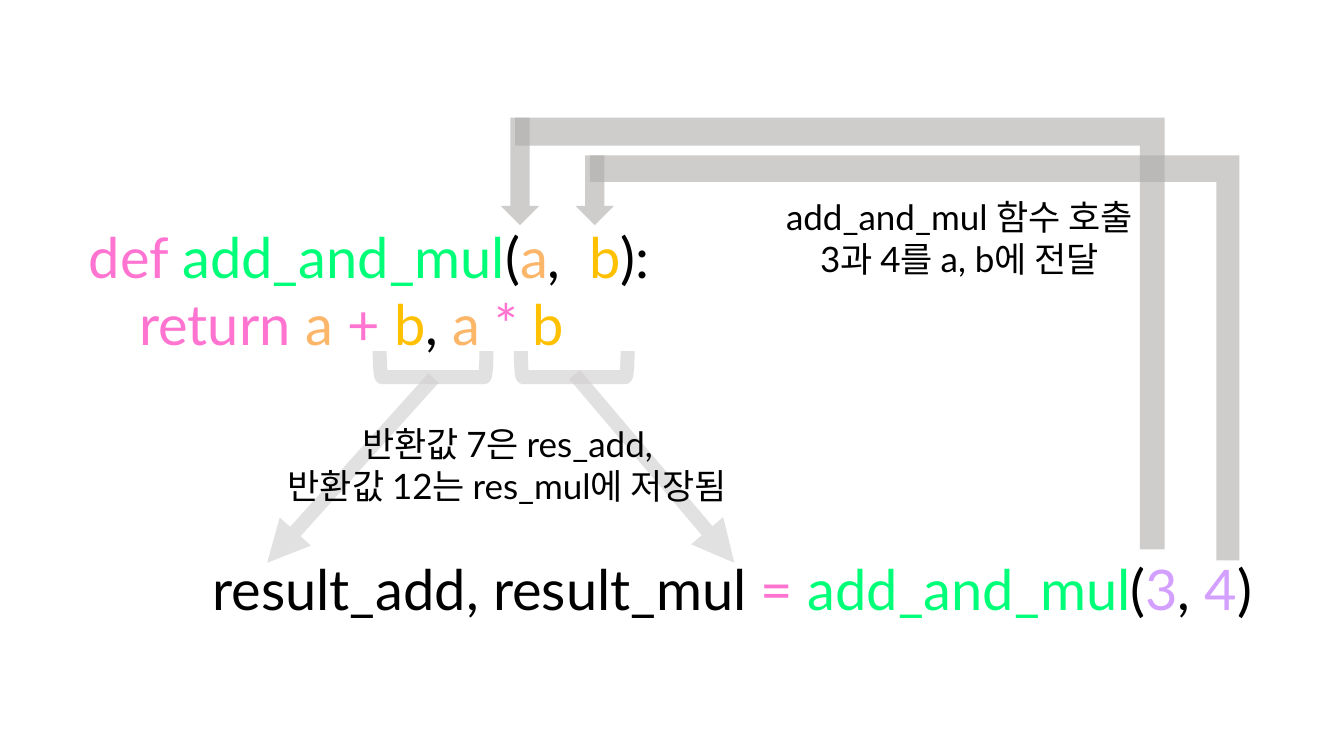
from dataclasses import dataclass

from lxml import etree
from pptx import Presentation
from pptx.dml.color import RGBColor
from pptx.enum import shapes, text
from pptx.oxml import ns
from pptx.util import Inches, Pt

BLACK = RGBColor(0x00, 0x00, 0x00)
PINK = RGBColor(0xFF, 0x74, 0xD0)
GREEN = RGBColor(0x00, 0xFF, 0x78)
ORANGE = RGBColor(0xFC, 0xB6, 0x6A)
AMBER = RGBColor(0xFF, 0xC0, 0x00)
VIOLET = RGBColor(0xD4, 0xA0, 0xFF)
LIGHT_GRAY = RGBColor(0xD0, 0xCE, 0xCE)
GRAY = RGBColor(0xAF, 0xAB, 0xAB)

FONT = "Lato"
CODE_SIZE, NOTE_SIZE = Pt(40), Pt(25)
STROKE = Pt(10)
OPACITY = 60
CELL = Inches(7.5) / 90  # the slide is 160 columns by 90 rows


@dataclass
class Box:
    """A rectangle measured in grid columns and rows."""
    left: float
    top: float
    width: float
    height: float

    def inner(self, column, row, width, height):
        """Return a box placed from this box's top left corner."""
        return Box(self.left + column, self.top + row, width, height)

    def emu(self):
        """Return left, top, width and height as lengths."""
        return [round(value * CELL)
                for value in (self.left, self.top, self.width, self.height)]


def make_translucent(shape):
    """Give every explicit colour of a shape the shared opacity."""
    for color in shape._element.iter(ns.qn("a:srgbClr")):
        etree.SubElement(color, ns.qn("a:alpha"), val=str(OPACITY * 1000))


def add_text(page, box, lines, size, alignment):
    """Write lines, each a list of (words, colour) spans."""
    frame = page.shapes.add_textbox(*box.emu()).text_frame
    frame.word_wrap = True
    frame.auto_size = text.MSO_AUTO_SIZE.SHAPE_TO_FIT_TEXT
    for index, spans in enumerate(lines):
        para = frame.add_paragraph() if index else frame.paragraphs[0]
        para.alignment = alignment
        para.font.name, para.font.size = FONT, size
        for words, color in spans:
            span = para.add_run()
            span.text = words
            span.font.color.rgb = color


def add_code(page, box, lines):
    """Write coloured code lines."""
    add_text(page, box, lines, CODE_SIZE, text.PP_ALIGN.LEFT)


def add_note(page, box, lines):
    """Write a centred black explanation."""
    add_text(page, box, [[(line, BLACK)] for line in lines],
             NOTE_SIZE, text.PP_ALIGN.CENTER)


def add_band(page, kind, box):
    """Add a translucent gray shape without outline."""
    band = page.shapes.add_shape(kind, *box.emu())
    band.shadow.inherit = False
    band.fill.solid()
    band.fill.fore_color.rgb = GRAY
    band.line.fill.background()
    make_translucent(band)
    return band


def add_bracket(page, box):
    """Add a bracket that opens upwards and fills the box."""
    turned = Box(box.left + (box.width - box.height) / 2,
                 box.top - (box.width - box.height) / 2,
                 box.height, box.width)
    bracket = page.shapes.add_shape(shapes.MSO_SHAPE.LEFT_BRACKET, *turned.emu())
    bracket.rotation = 270
    bracket.shadow.inherit = False
    bracket.fill.background()
    bracket.line.color.rgb = LIGHT_GRAY
    bracket.line.width = STROKE
    make_translucent(bracket)


def add_arrow(page, box, start, end):
    """Draw a thick arrow between two points given from the box corner."""
    points = [round(value * CELL) for column, row in (start, end)
              for value in (box.left + column, box.top + row)]
    arrow = page.shapes.add_connector(shapes.MSO_CONNECTOR.STRAIGHT, *points)
    arrow.line.color.rgb = LIGHT_GRAY
    arrow.line.width = STROKE
    make_translucent(arrow)
    outline = arrow._element.spPr.find(ns.qn("a:ln"))
    etree.SubElement(outline, ns.qn("a:tailEnd"), type="triangle")
    etree.SubElement(arrow._element.spPr, ns.qn("a:effectLst"))


def add_call(page, box):
    """Write the line that calls the function."""
    add_code(page, box, [[
        ("result_add, result_mul ", BLACK), ("= ", PINK), ("add_and_mul", GREEN),
        ("(", BLACK), ("3", VIOLET), (", ", BLACK), ("4", VIOLET), (")", BLACK)]])


def add_definition(page, box):
    """Write the function and bracket its two returned expressions."""
    add_code(page, box, [
        [("def ", PINK), ("add_and_mul", GREEN), ("(", BLACK), ("a", ORANGE),
         (",  ", BLACK), ("b", AMBER), ("):", BLACK)],
        [("\t", BLACK), ("return ", PINK), ("a ", ORANGE), ("+ ", PINK),
         ("b", AMBER), (", ", BLACK), ("a ", ORANGE), ("* ", PINK), ("b", AMBER)]])
    for index in range(2):
        add_bracket(page, box.inner(35.8 + 16.8 * index, 15.9, 12.7, 3.1))


def add_returned_values(page, box):
    """Lead both returned values down to the box corners, with a note."""
    add_arrow(page, box, (19.8, 0.2), (0, box.height))
    add_arrow(page, box, (36.6, -0.2), (box.width, box.height))
    add_note(page, box.inner(0.1, 4.9, 57, 11.3),
             ["반환값 7은 res_add,", "반환값 12는 res_mul에 저장됨"])


def add_passed_arguments(page, box):
    """Lead both arguments up and over to the parameters, with a note."""
    arrow_tip = 12.8
    for index, band_height in enumerate((51.4, 48.2)):
        column, row = 8.9 * index, 4.5 * index
        add_band(page, shapes.MSO_SHAPE.DOWN_ARROW,
                 box.inner(column, row, 4.6, arrow_tip - row))
        corner = add_band(page, shapes.MSO_SHAPE.CORNER,
                          box.inner(column + 1.7, row, 77.3, band_height))
        corner.rotation = 180
        corner.adjustments[0] = 0.065
        corner.adjustments[1] = 0.057
    add_note(page, box.inner(24.3, 8.7, 60.6, 11.3),
             ["add_and_mul 함수 호출", "3과 4를 a, b에 전달"])


def main():
    """Build the slide and save the deck."""
    deck = Presentation()
    deck.slide_width, deck.slide_height = Inches(13.33), Inches(7.5)
    page = deck.slides.add_slide(deck.slide_layouts[6])
    add_call(page, Box(24.1, 65.4, 134, 9.2))
    add_definition(page, Box(9.4, 25.9, 105, 17.4))
    add_returned_values(page, Box(31.8, 44.8, 55.6, 22.2))
    add_passed_arguments(page, Box(59.6, 14, 87.9, 52.7))
    deck.save("out.pptx")


main()
